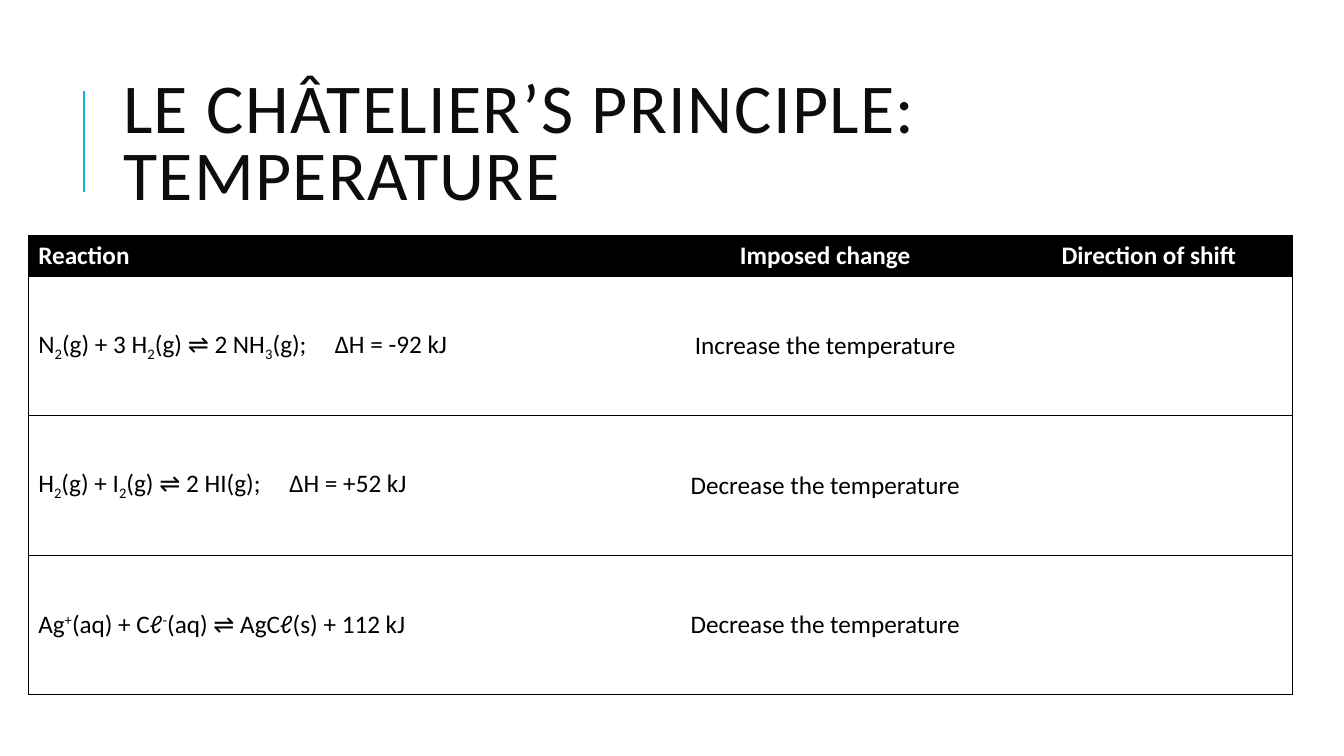
"""Build a slide with a table of temperature changes and equilibrium shifts."""
import pptx
import pptx.dml.color
import pptx.enum.shapes
import pptx.enum.text
import pptx.oxml.ns
import pptx.util
from lxml import etree
from pptx.util import Inches

TITLE = "LE CHÂTELIER’S PRINCIPLE: TEMPERATURE"
HEADINGS = ["Reaction", "Imposed change", "Direction of shift"]
SUB, SUPER = -25, 30
REACTIONS = [
    {"formula": [("N", 0), ("2", SUB), ("(g) + 3 H", 0), ("2", SUB), ("(g) ⇌ 2 NH", 0),
                 ("3", SUB), ("(g);\tΔH = -92 kJ", 0)],
     "change": "Increase the temperature", "tab": 2.94},
    {"formula": [("H", 0), ("2", SUB), ("(g) + I", 0), ("2", SUB),
                 ("(g) ⇌ 2 HI(g);\tΔH = +52 kJ", 0)],
     "change": "Decrease the temperature", "tab": 2.49},
    {"formula": [("Ag", 0), ("+", SUPER), ("(aq) + Cℓ", 0), ("-", SUPER),
                 ("(aq) ⇌ AgCℓ(s) + 112 kJ", 0)],
     "change": "Decrease the temperature", "tab": None},
]
THEME = {"font": "Calibri", "title_size": 50, "table_size": 18, "title": "0D0D0D",
         "accent": "1CADE4", "ink": "000000", "paper": "FFFFFF",
         "accent_width": 1.5, "rule_width": 0.75}
COLUMN_WIDTHS = [6.12, 3.57, 2.85]
ROW_HEIGHTS = [0.39] + [1.38] * len(REACTIONS)
TABLE_LEFT, TABLE_TOP = 0.28, 2.34
ALIGN = pptx.enum.text.PP_ALIGN
MIDDLE = pptx.enum.text.MSO_ANCHOR.MIDDLE


def rgb(name):
    """Return a theme colour."""
    return pptx.dml.color.RGBColor.from_string(THEME[name])


def add_child(parent, tag, **attributes):
    """Append a drawing element to its parent."""
    return etree.SubElement(parent, pptx.oxml.ns.qn(tag), **attributes)


def add_span(para, text, size, color, bold=False, baseline=0):
    """Add one formatted run."""
    span = para.add_run()
    span.text = text
    span.font.name = THEME["font"]
    span.font.size = pptx.util.Pt(THEME[size])
    span.font.bold = bold
    span.font.color.rgb = rgb(color)
    if baseline:
        span.font._element.set("baseline", str(baseline * 1000))
    return span


def add_title(page):
    """Fill the title placeholder and draw the accent line beside it."""
    box = page.shapes.title
    box.left, box.top, box.width, box.height = map(Inches, (1.12, 0.64, 10.63, 1.64))
    frame = box.text_frame
    frame.word_wrap = True
    frame.auto_size = pptx.enum.text.MSO_AUTO_SIZE.NONE
    frame.vertical_anchor = MIDDLE
    para = frame.paragraphs[0]
    para.alignment = ALIGN.LEFT
    para.line_spacing = 0.8
    span = add_span(para, TITLE, "title_size", "title")
    span.font._element.set("spc", "100")
    accent = page.shapes.add_connector(
        pptx.enum.shapes.MSO_CONNECTOR.STRAIGHT, *map(Inches, (0.83, 1.9, 0.83, 0.9)))
    accent.line.color.rgb = rgb("accent")
    accent.line.width = pptx.util.Pt(THEME["accent_width"])
    add_child(accent._element.spPr, "a:effectLst")


def set_borders(cell, column):
    """Rule the cell above and below, and on the outer sides of the table."""
    ruled = {"L": column == 0, "R": column == len(HEADINGS) - 1, "T": True, "B": True}
    properties = cell._tc.get_or_add_tcPr()
    for side, visible in ruled.items():
        width = pptx.util.Pt(THEME["rule_width"])
        line = add_child(properties, f"a:ln{side}", w=str(width))
        if visible:
            fill = add_child(line, "a:solidFill")
            add_child(fill, "a:srgbClr", val=THEME["ink"])
        else:
            add_child(line, "a:noFill")


def fill_cell(cell, column, pieces, header, tab=None):
    """Format one table cell and write its runs."""
    set_borders(cell, column)
    if header:
        cell.fill.solid()
        cell.fill.fore_color.rgb = rgb("ink")
    else:
        cell.fill.background()
    cell.vertical_anchor = MIDDLE
    para = cell.text_frame.paragraphs[0]
    para.alignment = ALIGN.CENTER if column else ALIGN.LEFT
    if tab:
        stops = add_child(para._p.get_or_add_pPr(), "a:tabLst")
        add_child(stops, "a:tab", pos=str(Inches(tab)), algn="l")
    for text, baseline in pieces:
        add_span(para, text, "table_size", "paper" if header else "ink", header, baseline)


def add_reaction_table(page):
    """Add the table of reactions."""
    table = page.shapes.add_table(
        len(ROW_HEIGHTS), len(COLUMN_WIDTHS), Inches(TABLE_LEFT), Inches(TABLE_TOP),
        Inches(sum(COLUMN_WIDTHS)), Inches(sum(ROW_HEIGHTS))).table
    table.first_row = table.horz_banding = False
    for column, width in zip(table.columns, COLUMN_WIDTHS):
        column.width = Inches(width)
    for row, height in zip(table.rows, ROW_HEIGHTS):
        row.height = Inches(height)
    for column, heading in enumerate(HEADINGS):
        fill_cell(table.cell(0, column), column, [(heading, 0)], True)
    for row, reaction in enumerate(REACTIONS, 1):
        fill_cell(table.cell(row, 0), 0, reaction["formula"], False, reaction["tab"])
        fill_cell(table.cell(row, 1), 1, [(reaction["change"], 0)], False)
        fill_cell(table.cell(row, 2), 2, [], False)


def main():
    """Create and save the deck."""
    deck = pptx.Presentation()
    deck.slide_width, deck.slide_height = Inches(13.33), Inches(7.5)
    page = deck.slides.add_slide(deck.slide_layouts.get_by_name("Title Only"))
    page.background.fill.solid()
    page.background.fill.fore_color.rgb = rgb("paper")
    add_title(page)
    add_reaction_table(page)
    deck.save("out.pptx")


if __name__ == "__main__":
    main()
